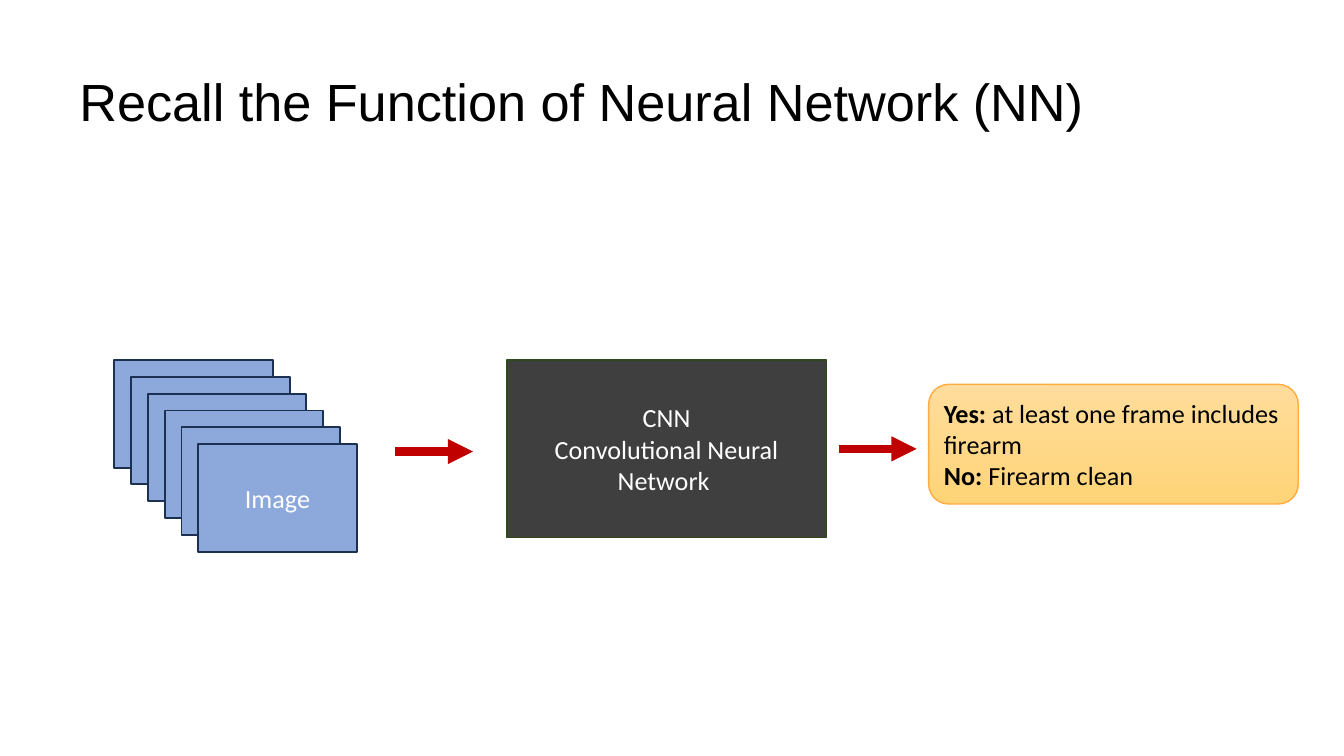
from typing import NamedTuple

from lxml.etree import SubElement
from pptx import Presentation
from pptx.dml.color import RGBColor
from pptx.enum.shapes import MSO_CONNECTOR, MSO_SHAPE
from pptx.enum.text import MSO_ANCHOR, PP_ALIGN
from pptx.oxml.ns import qn
from pptx.util import Inches, Pt

COLORS = {
    "text": "000000",
    "light_text": "FFFFFF",
    "arrow": "C00000",
    "network": "3F3F3F",
    "network_line": "2F491D",
    "frame": "8DA9DB",
    "frame_line": "1C3052",
    "answer_top": "FFDC9B",
    "answer_bottom": "FFD478",
    "answer_line": "FFAB40",
}
SLIDE_WIDTH = 10
SLIDE_HEIGHT = SLIDE_WIDTH * 9 / 16
FRAME_COUNT = 6
FRAME_STEP = 1 / 8


class Box(NamedTuple):
    left: float
    top: float
    width: float
    height: float


class Arrow(NamedTuple):
    left: float
    right: float
    y: float


class Run(NamedTuple):
    text: str
    bold: bool = False


TITLE = Box(0.52, 0.23, 8.62, 1.09)
NETWORK = Box(3.77, 2.68, 2.38, 1.32)
ANSWER = Box(6.91, 2.86, 2.75, 0.89)
FIRST_FRAME = Box(0.85, 2.68, 1.18, 0.8)
ARROWS = [Arrow(2.94, 3.52, 3.36), Arrow(6.24, 6.82, 3.34)]


def rgb(name: str) -> RGBColor:
    return RGBColor.from_string(COLORS[name])


def write_text(shape, paragraphs: list[list[Run]], *, size=14, font="Calibri",
               color="light_text", align=PP_ALIGN.CENTER, line_spacing=None) -> None:
    frame = shape.text_frame
    frame.word_wrap = True
    frame.vertical_anchor = MSO_ANCHOR.MIDDLE
    frame.margin_left = frame.margin_right = Inches(0.07)
    frame.margin_top = frame.margin_bottom = Inches(0.04)
    for index, runs in enumerate(paragraphs):
        paragraph = frame.add_paragraph() if index else frame.paragraphs[0]
        paragraph.alignment = align
        paragraph.line_spacing = line_spacing
        for text, bold in runs:
            run = paragraph.add_run()
            run.text = text
            run.font.name = font
            run.font.size = Pt(size)
            run.font.bold = bold
            run.font.color.rgb = rgb(color)


def add_box(shapes, box: Box, line: str, fill: str | None = None,
            kind=MSO_SHAPE.RECTANGLE, line_width=1.0):
    shape = shapes.add_shape(kind, *map(Inches, box))
    shape.shadow.inherit = False
    if fill:
        shape.fill.solid()
        shape.fill.fore_color.rgb = rgb(fill)
    shape.line.color.rgb = rgb(line)
    shape.line.width = Pt(line_width)
    return shape


def add_arrow(shapes, arrow: Arrow) -> None:
    y = Inches(arrow.y)
    connector = shapes.add_connector(
        MSO_CONNECTOR.STRAIGHT, Inches(arrow.left), y, Inches(arrow.right), y)
    connector.line.color.rgb = rgb("arrow")
    connector.line.width = Pt(4.5)
    properties = connector._element.spPr
    SubElement(properties.find(qn("a:ln")), qn("a:tailEnd"), type="triangle")
    SubElement(properties, qn("a:effectLst"))


def add_frame_stack(shapes) -> None:
    """Draw the overlapping video frames; only the front one is labelled."""
    group = shapes.add_group_shape()
    for index in range(FRAME_COUNT):
        offset = index * FRAME_STEP
        box = FIRST_FRAME._replace(left=FIRST_FRAME.left + offset,
                                   top=FIRST_FRAME.top + offset)
        frame = add_box(group.shapes, box, "frame_line", "frame")
    write_text(frame, [[Run("Image")]])


def add_answer(shapes) -> None:
    answer = add_box(shapes, ANSWER, "answer_line",
                     kind=MSO_SHAPE.ROUNDED_RECTANGLE, line_width=0.75)
    answer.adjustments[0] = 1 / 6
    answer.fill.gradient()
    answer.fill.gradient_angle = 270
    for stop, color in zip(answer.fill.gradient_stops, ("answer_top", "answer_bottom")):
        stop.color.rgb = rgb(color)
    write_text(answer, [
        [Run("Yes: ", True), Run("at least one frame includes firearm")],
        [Run("No: ", True), Run("Firearm clean")],
    ], color="text", align=PP_ALIGN.LEFT)


def main() -> None:
    presentation = Presentation()
    presentation.slide_width = Inches(SLIDE_WIDTH)
    presentation.slide_height = Inches(SLIDE_HEIGHT)
    slide = presentation.slides.add_slide(presentation.slide_layouts[5])
    shapes = slide.shapes

    title = shapes.title
    title.left, title.top, title.width, title.height = map(Inches, TITLE)
    write_text(title, [[Run("Recall the Function of Neural Network (NN)")]],
               size=28, font="Arial", color="text", align=PP_ALIGN.LEFT,
               line_spacing=0.9)

    network = add_box(shapes, NETWORK, "network_line", "network")
    write_text(network, [[Run("CNN")], [Run("Convolutional Neural Network ")]])
    for arrow in ARROWS:
        add_arrow(shapes, arrow)
    add_frame_stack(shapes)
    add_answer(shapes)
    presentation.save("out.pptx")


if __name__ == "__main__":
    main()
